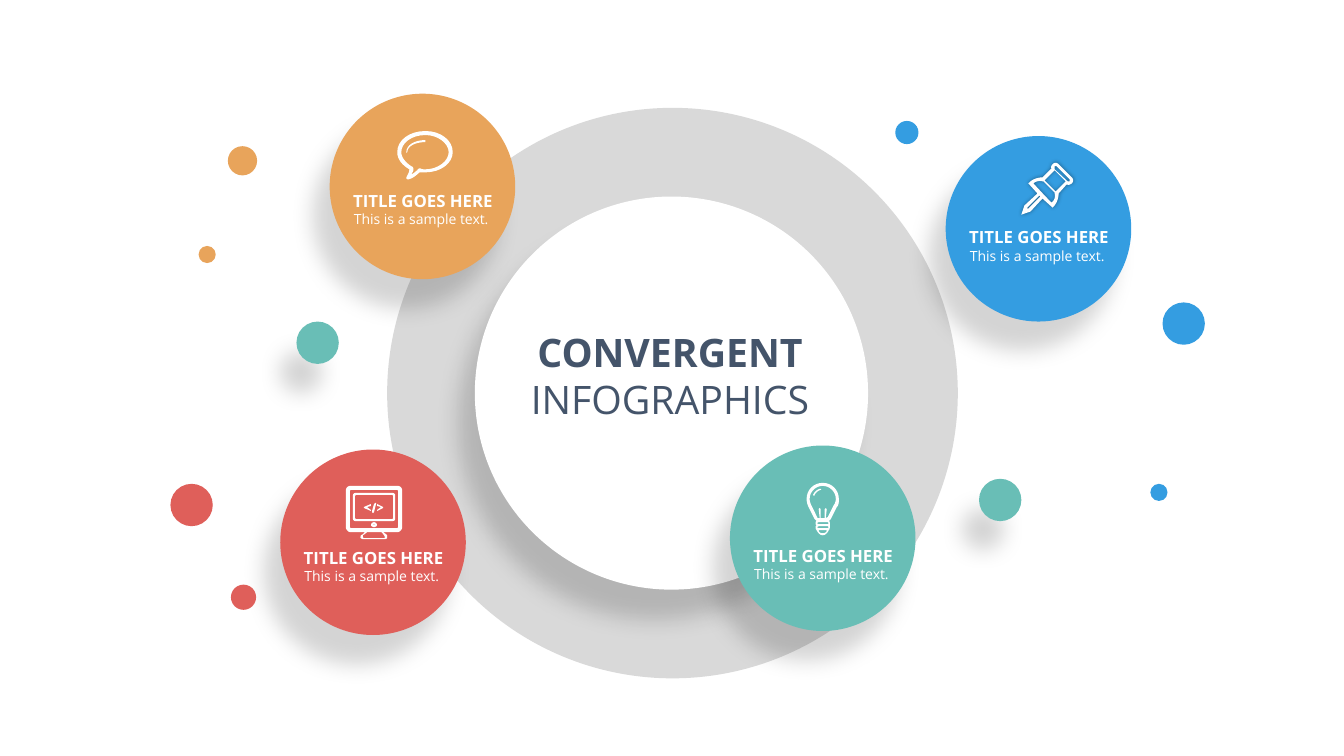
from lxml.etree import SubElement
from pptx import Presentation
from pptx.dml.color import RGBColor
from pptx.enum.shapes import MSO_SHAPE
from pptx.enum.text import MSO_ANCHOR, MSO_AUTO_SIZE, PP_ALIGN
from pptx.oxml.ns import qn
from pptx.util import Inches, Pt

WHITE = RGBColor(0xFF, 0xFF, 0xFF)
GRAY = RGBColor(0xD9, 0xD9, 0xD9)
TEAL = RGBColor(0x69, 0xBE, 0xB6)
ORANGE = RGBColor(0xE8, 0xA4, 0x5B)
RED = RGBColor(0xDF, 0x5F, 0x5A)
BLUE = RGBColor(0x34, 0x9D, 0xE1)
SLATE = RGBColor(0x44, 0x54, 0x6A)
FONT = "Open Sans"
SOFT_SHADOW = (17, 16, 24, 120)
PIN_SHADOW = (40, 3, 0, 0)


def paint(shape, color, shadow=None):
    shape.fill.solid()
    shape.fill.fore_color.rgb = color
    shape.line.fill.background()
    shape.shadow.inherit = False
    if shadow:
        opacity, blur, distance, angle = shadow
        effects = shape._element.spPr.find(qn("a:effectLst"))
        outer = SubElement(effects, qn("a:outerShdw"), blurRad=str(Pt(blur)),
                           dist=str(Pt(distance)), dir=str(angle * 60000),
                           algn="ctr", rotWithShape="0")
        black = SubElement(outer, qn("a:srgbClr"), val="000000")
        SubElement(black, qn("a:alpha"), val=str(opacity * 1000))


def draw_outline(shapes, contours):
    builder = None
    for contour in contours:
        points, pending, mode = [], [], "L"
        for token in contour.split():
            if token in ("L", "C"):
                mode = token
                continue
            pending.append([Inches(float(number)) for number in token.split(",")])
            if mode == "L":
                points.append(pending.pop())
            elif len(pending) == 3:
                curve = [points[-1], *pending]
                for step in range(1, 9):
                    t = step / 8
                    weights = ((1 - t) ** 3, 3 * t * (1 - t) ** 2, 3 * t * t * (1 - t), t ** 3)
                    points.append([sum(weight * point[axis] for weight, point in zip(weights, curve))
                                   for axis in (0, 1)])
                pending = []
        if builder is None:
            builder = shapes.build_freeform(*points[0], scale=1.0)
        else:
            builder.move_to(*points[0])
        builder.add_line_segments(points[1:], close=True)
    return builder.convert_to_shape()


deck = Presentation()
deck.slide_width, deck.slide_height = Inches(13.33), Inches(7.5)
page = deck.slides.add_slide(deck.slide_layouts[6])

topics = [
    (7.24, 4.42, TEAL, 5.41),
    (3.27, 0.93, ORANGE, 1.89),
    (2.78, 4.46, RED, 5.43),
    (9.38, 1.35, BLUE, 2.25),
]
circles = [(3.84, 1.07, 5.66, GRAY, None), (4.71, 1.95, 3.9, WHITE, SOFT_SHADOW)]
circles += [(left, top, 1.84, color, SOFT_SHADOW) for left, top, color, _ in topics]
circles += [
    (11.53, 3, 0.42, BLUE, None),
    (9.71, 4.75, 0.42, TEAL, SOFT_SHADOW),
    (1.69, 4.8, 0.42, RED, None),
    (2.26, 1.45, 0.29, ORANGE, None),
    (2.94, 3.19, 0.42, TEAL, SOFT_SHADOW),
    (8.88, 1.2, 0.23, BLUE, None),
    (11.41, 4.8, 0.17, BLUE, None),
    (1.97, 2.44, 0.17, ORANGE, None),
    (2.29, 5.8, 0.25, RED, None),
]
for left, top, size, color, shadow in circles:
    circle = page.shapes.add_shape(MSO_SHAPE.OVAL, Inches(left), Inches(top), Inches(size), Inches(size))
    paint(circle, color, shadow)

for left, _, _, text_top in topics:
    box = page.shapes.add_textbox(Inches(left + 0.17), Inches(text_top), Inches(1.51), Inches(0.37))
    frame = box.text_frame
    frame.word_wrap = True
    frame.auto_size = MSO_AUTO_SIZE.SHAPE_TO_FIT_TEXT
    frame.vertical_anchor = MSO_ANCHOR.MIDDLE
    frame.margin_left = frame.margin_right = frame.margin_top = frame.margin_bottom = 0
    para = frame.paragraphs[0]
    para.alignment = PP_ALIGN.CENTER
    para.space_after = Pt(12)
    for text, size, bold in (("TITLE GOES HERE", 12, True), ("This is a sample text. ", 10, False)):
        if not bold:
            para.add_line_break()
        span = para.add_run()
        span.text = text
        span.font.name, span.font.size, span.font.bold = FONT, Pt(size), bold
        span.font.color.rgb = WHITE

bulb = [
    ["""8.32,4.95 C 8.32,4.86 8.25,4.79 8.16,4.79 8.07,4.79 8,4.86 8,4.95 8,4.98 8.01,5.01 8.02,5.03
     L 8.08,5.15 8.1,5.17 C 8.09,5.17 8.09,5.18 8.09,5.19 8.09,5.2 8.09,5.21 8.1,5.21
     8.09,5.22 8.09,5.22 8.09,5.23 8.09,5.24 8.09,5.25 8.1,5.26 8.11,5.28 8.13,5.31 8.16,5.31
     8.19,5.31 8.21,5.28 8.22,5.26 8.23,5.25 8.23,5.24 8.23,5.23 L 8.23,5.21 8.23,5.19
     C 8.23,5.18 8.23,5.17 8.22,5.17 L 8.24,5.15 8.3,5.03 C 8.32,5.01 8.32,4.98 8.32,4.95""",
     "8.16,5.29 C 8.14,5.29 8.12,5.28 8.12,5.26 L 8.2,5.26 C 8.2,5.28 8.18,5.29 8.16,5.29",
     "8.22,5.23 8.21,5.24 8.12,5.24 8.1,5.23 8.12,5.22 8.21,5.22",
     "8.22,5.19 8.21,5.2 8.12,5.2 8.1,5.19 8.12,5.18 8.21,5.18",
     """8.27,5.01 8.21,5.13 8.19,5.14 8.2,5.05 8.19,5.04 8.18,5.05 8.18,5.14 8.14,5.14 8.14,5.05
     8.13,5.04 8.12,5.05 8.13,5.14 8.11,5.14 8.05,5.02 C 8.04,5 8.03,4.97 8.03,4.95
     8.03,4.88 8.09,4.82 8.16,4.82 8.23,4.82 8.29,4.88 8.29,4.95 8.29,4.97 8.28,5 8.27,5.01"""],
    ["""8.13,4.85 C 8.1,4.86 8.08,4.88 8.07,4.9 8.06,4.91 8.07,4.91 8.07,4.92
     8.08,4.92 8.08,4.91 8.08,4.91 8.09,4.89 8.11,4.87 8.14,4.86 8.14,4.86 8.15,4.86 8.14,4.85"""],
]
bubble = [
    ["""4.22,1.39 C 4.11,1.39 4.03,1.44 4.03,1.51 L 4.03,1.52 4.04,1.51
     C 4.04,1.45 4.12,1.41 4.22,1.41"""],
    ["""4.22,1.3 C 4.06,1.3 3.94,1.39 3.94,1.51 3.94,1.58 3.99,1.64 4.06,1.68
     4.06,1.71 4.04,1.74 4.03,1.76 4.03,1.77 4.03,1.78 4.05,1.78 4.1,1.77 4.15,1.72 4.16,1.71
     4.18,1.71 4.2,1.71 4.22,1.71 4.37,1.71 4.49,1.62 4.49,1.51 4.49,1.39 4.37,1.3 4.22,1.3""",
     """4.22,1.68 C 4.2,1.68 4.18,1.68 4.17,1.67 4.15,1.67 4.14,1.68 4.14,1.69
     4.13,1.69 4.11,1.72 4.08,1.73 4.09,1.71 4.1,1.7 4.1,1.68 4.1,1.66 4.09,1.65 4.08,1.65
     4.02,1.61 3.98,1.56 3.98,1.51 3.98,1.42 4.08,1.34 4.22,1.34 4.34,1.34 4.45,1.42 4.45,1.51
     4.45,1.6 4.34,1.68 4.22,1.68"""],
]
monitor = [
    ["""3.94,4.82 3.48,4.82 C 3.45,4.82 3.43,4.84 3.43,4.87 L 3.43,5.23
     C 3.43,5.25 3.45,5.28 3.48,5.28 L 3.62,5.28 3.6,5.3 3.58,5.31
     C 3.58,5.32 3.57,5.33 3.58,5.34 3.58,5.34 3.59,5.35 3.61,5.35
     L 3.81,5.35 C 3.83,5.35 3.84,5.34 3.84,5.34 3.84,5.33 3.84,5.32 3.84,5.31
     L 3.83,5.3 3.8,5.28 3.94,5.28 C 3.97,5.28 3.99,5.25 3.99,5.23 L 3.99,4.87
     C 3.99,4.84 3.97,4.82 3.94,4.82""",
     """3.81,5.31 3.82,5.33 3.81,5.34 3.61,5.34 3.6,5.33 3.6,5.31 C 3.62,5.3 3.64,5.28 3.64,5.28
     L 3.78,5.28 C 3.79,5.28 3.8,5.3 3.81,5.31""",
     "3.95,5.23 3.94,5.24 3.48,5.24 3.47,5.23 3.47,4.87 3.48,4.86 3.94,4.86 3.95,4.87"],
    ["""3.89,4.89 3.53,4.89 C 3.51,4.89 3.5,4.9 3.5,4.92 L 3.5,5.14
     C 3.5,5.16 3.51,5.17 3.53,5.17 L 3.89,5.17 C 3.91,5.17 3.92,5.16 3.92,5.14 L 3.92,4.92
     C 3.92,4.9 3.91,4.89 3.89,4.89""",
     "3.9,5.14 3.89,5.15 3.53,5.15 3.52,5.14 3.52,4.92 3.53,4.91 3.89,4.91 3.9,4.92"],
    ["""3.71,5.18 C 3.7,5.18 3.68,5.19 3.68,5.21 3.68,5.22 3.7,5.23 3.71,5.23
     3.72,5.23 3.74,5.22 3.74,5.21 3.74,5.19 3.72,5.18 3.71,5.18""",
     "3.71,5.21 3.7,5.21 3.71,5.2 3.72,5.21"],
    ["3.61,5.04 3.68,5.07 3.68,5.06 3.64,5.03 3.68,5.02 3.68,5 3.61,5.03"],
    ["3.72,4.99 3.71,5 3.69,5.07 3.69,5.08 3.7,5.09 3.71,5.08 3.73,5 3.73,4.99"],
    ["3.74,5.02 3.78,5.03 3.74,5.06 3.74,5.07 3.8,5.04 3.8,5.03 3.74,5"],
]
for icon in (bulb, bubble, monitor):
    group = page.shapes.add_group_shape()
    for contours in icon:
        paint(draw_outline(group.shapes, contours), WHITE)

pin = [
    """10.5,1.92 10.58,1.83 C 10.6,1.84 10.62,1.83 10.63,1.82 10.65,1.8 10.65,1.78 10.63,1.76
    L 10.5,1.63 C 10.48,1.61 10.46,1.61 10.44,1.63 10.43,1.64 10.42,1.66 10.43,1.67 L 10.34,1.76
    C 10.29,1.76 10.24,1.78 10.21,1.81 L 10.2,1.82 10.29,1.92 10.16,2.04 10.13,2.13 10.22,2.1
    10.34,1.97 10.44,2.06 10.45,2.05 C 10.48,2.02 10.5,1.97 10.5,1.92""",
    "10.48,1.65 10.61,1.78 10.61,1.8 10.59,1.8 10.46,1.68 10.46,1.65",
    "10.47,1.9 10.36,1.79 10.46,1.69 10.57,1.8",
    "10.2,2.07 10.19,2.07 10.19,2.06 10.31,1.94 10.32,1.95",
    """10.37,1.95 10.25,1.82 C 10.27,1.8 10.31,1.79 10.34,1.8 L 10.35,1.8 10.46,1.91 10.46,1.92
    C 10.47,1.95 10.46,1.99 10.43,2.01""",
]
paint(draw_outline(page.shapes, pin), WHITE, PIN_SHADOW)

heading = page.shapes.add_textbox(Inches(3.23), Inches(3.21), Inches(6.83), Inches(1.04))
frame = heading.text_frame
frame.word_wrap = True
frame.auto_size = MSO_AUTO_SIZE.SHAPE_TO_FIT_TEXT
for index, (text, bold) in enumerate((("CONVERGENT", True), ("INFOGRAPHICS", False))):
    para = frame.add_paragraph() if index else frame.paragraphs[0]
    para.alignment = PP_ALIGN.CENTER
    span = para.add_run()
    span.text = text
    span.font.name, span.font.size, span.font.bold = FONT, Pt(28), bold
    span.font.color.rgb = SLATE

deck.save("out.pptx")
